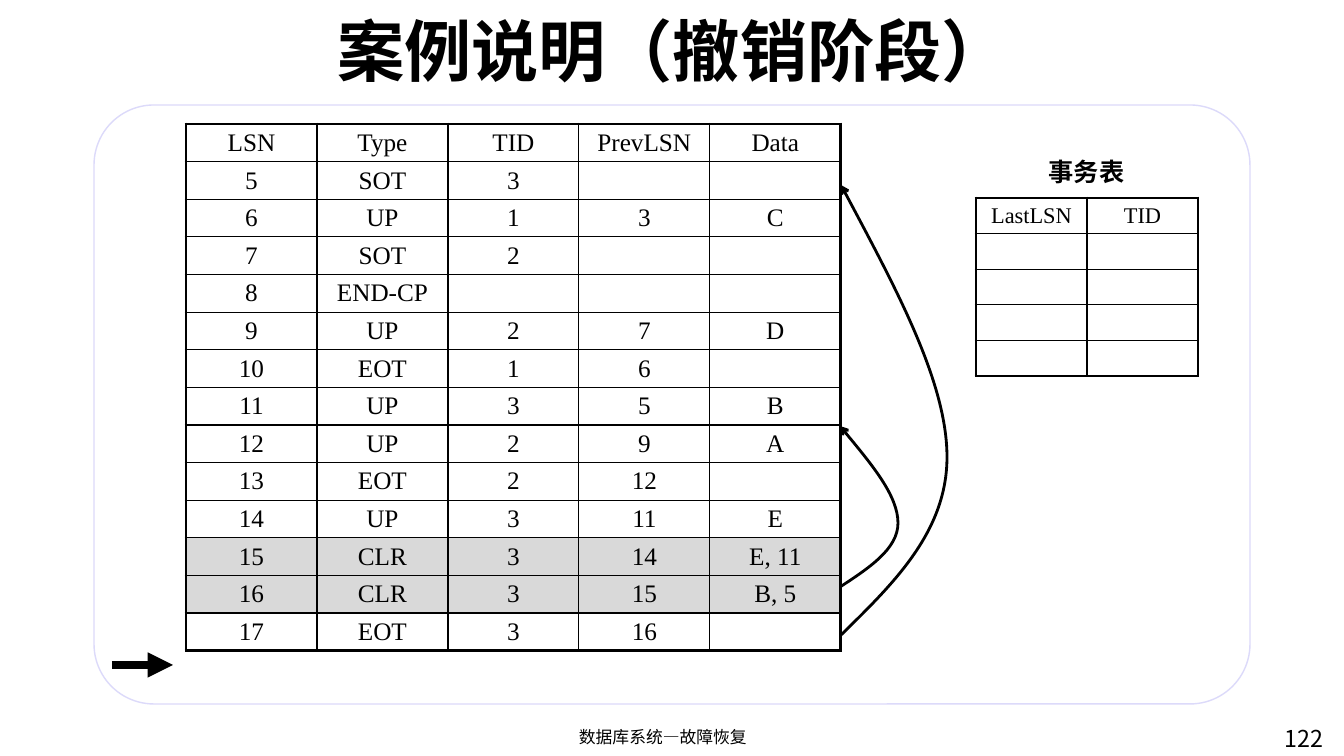
"""Build the undo-phase recovery example slide."""
from lxml.etree import SubElement
from pptx import Presentation
from pptx.dml.color import RGBColor
from pptx.enum.shapes import MSO_CONNECTOR as Connector, MSO_SHAPE as Preset
from pptx.enum.text import MSO_ANCHOR as Anchor, MSO_AUTO_SIZE as AutoSize, PP_ALIGN as Align
from pptx.oxml.ns import qn
from pptx.util import Emu, Pt

SANS, SERIF = "Noto Sans CJK SC", "Times New Roman"
BLACK, WHITE, GRAY, LAVENDER = "000000", "FFFFFF", "D9D9D9", "DCDAFA"
TITLE = "案例说明（撤销阶段）"
TITLE_BOX = (116, 12, 1114, 75)
PANEL_BOX = (94, 105, 1156, 599)
LOG_BOX = (186, 124, 655, 527)
LOG = [
    ("LSN", "Type", "TID", "PrevLSN", "Data"),
    ("5", "SOT", "3", "", ""),
    ("6", "UP", "1", "3", "C"),
    ("7", "SOT", "2", "", ""),
    ("8", "END-CP", "", "", ""),
    ("9", "UP", "2", "7", "D"),
    ("10", "EOT", "1", "6", ""),
    ("11", "UP", "3", "5", "B"),
    ("12", "UP", "2", "9", "A"),
    ("13", "EOT", "2", "12", ""),
    ("14", "UP", "3", "11", "E"),
    ("15", "CLR", "3", "14", "E, 11"),
    ("16", "CLR", "3", "15", "B, 5"),
    ("17", "EOT", "3", "16", ""),
]
TRANSACTION_BOX = (976, 198, 222, 178)
TRANSACTIONS = [("LastLSN", "TID")] + [("", "")] * 4
LABELS = [
    ("事务表", (1038, 151, 97, 40), 18, True, Align.CENTER),
    ("数据库系统—故障恢复", (451, 722, 424, 34), 12, False, Align.CENTER),
    ("122", (1275, 719, 69, 37), 16.6, False, Align.LEFT),
]
UNDO_CURVES = [
    [(841, 635), (893, 584), (947, 532), (947, 457), (947, 382), (893, 283), (841, 185)],
    [(840, 587), (869, 568), (898, 549), (898, 523), (898, 496), (869, 461), (840, 426)],
]
POINTER = (112, 665, 173, 665)


def px(*lengths):
    return [Emu(round(length * 914400 / 100.8)) for length in lengths]


def color(value):
    return RGBColor.from_string(value)


def write(frame, text, size, font, bold=False, align=Align.CENTER):
    paragraph = frame.paragraphs[0]
    paragraph.alignment = align
    run = paragraph.add_run()
    run.text = text
    run.font.size, run.font.bold, run.font.name = Pt(size), bold, font
    run.font.color.rgb = color(BLACK)
    SubElement(run.font._element, qn("a:ea"), typeface=font)


def style_line(shape, width, head):
    shape.line.color.rgb = color(BLACK)
    shape.line.width = Pt(width)
    SubElement(shape.line._get_or_add_ln(), qn("a:tailEnd"), type=head)


def add_border(cell, side, width):
    line = SubElement(cell._tc.get_or_add_tcPr(), qn(f"a:ln{side}"), w=str(Pt(width)))
    SubElement(SubElement(line, qn("a:solidFill")), qn("a:srgbClr"), val=BLACK)


def add_grid(slide, rows, box, size):
    row_count, column_count = len(rows), len(rows[0])
    left, top, width, height = px(*box)
    table = slide.shapes.add_table(row_count, column_count, left, top, width, height).table
    table.first_row = table.horz_banding = False
    for row in table.rows:
        row.height = Emu(height // row_count)
    for column in table.columns:
        column.width = Emu(width // column_count)
    for r, values in enumerate(rows):
        for c, value in enumerate(values):
            cell = table.cell(r, c)
            cell.margin_top, cell.margin_bottom = px(3, 3)
            cell.vertical_anchor = Anchor.MIDDLE
            outer = {"L": c == 0, "R": c == column_count - 1,
                     "T": r == 0, "B": r == row_count - 1}
            for side, is_outer in outer.items():
                add_border(cell, side, 2.25 if is_outer else 1)
            cell.fill.solid()
            cell.fill.fore_color.rgb = color(GRAY if "CLR" in values else WHITE)
            if value:
                write(cell.text_frame, value, size, SERIF)
            else:
                SubElement(cell.text_frame.paragraphs[0]._p, qn("a:endParaRPr"), sz="1000")


def add_curve(slide, points):
    start, *rest = [px(*point) for point in points]
    builder = slide.shapes.build_freeform(*start)
    builder.add_line_segments(rest, close=False)
    shape = builder.convert_to_shape()
    shape.shadow.inherit = False
    shape.fill.background()
    style_line(shape, 2, "arrow")
    segments = list(shape._element.iter(qn("a:lnTo")))
    outline = segments[0].getparent()
    for first in range(0, len(segments), 3):
        bezier = SubElement(outline, qn("a:cubicBezTo"))
        for segment in segments[first:first + 3]:
            bezier.append(segment[0])
            outline.remove(segment)


def main():
    presentation = Presentation()
    presentation.slide_width, presentation.slide_height = px(1344, 756)
    slide = presentation.slides.add_slide(presentation.slide_layouts[5])

    panel = slide.shapes.add_shape(Preset.ROUNDED_RECTANGLE, *px(*PANEL_BOX))
    panel.adjustments[0] = 0.1
    panel.shadow.inherit = False
    panel.fill.solid()
    panel.fill.fore_color.rgb = color(WHITE)
    panel.line.color.rgb = color(LAVENDER)
    panel.line.width = Pt(1)

    title = slide.shapes.title
    title.left, title.top, title.width, title.height = px(*TITLE_BOX)
    title.text_frame.auto_size = AutoSize.NONE
    title.text_frame.vertical_anchor = Anchor.MIDDLE
    write(title.text_frame, TITLE, 48, SANS, True)

    add_grid(slide, LOG, LOG_BOX, 18)
    add_grid(slide, TRANSACTIONS, TRANSACTION_BOX, 16)
    for points in UNDO_CURVES:
        add_curve(slide, points)
    for text, box, size, bold, align in LABELS:
        frame = slide.shapes.add_textbox(*px(*box)).text_frame
        frame.word_wrap = not bold
        write(frame, text, size, SANS, bold, align)

    pointer = slide.shapes.add_connector(Connector.STRAIGHT, *px(*POINTER))
    style_line(pointer, 6, "triangle")
    SubElement(pointer._element.spPr, qn("a:effectLst"))
    presentation.save("out.pptx")


if __name__ == "__main__":
    main()
